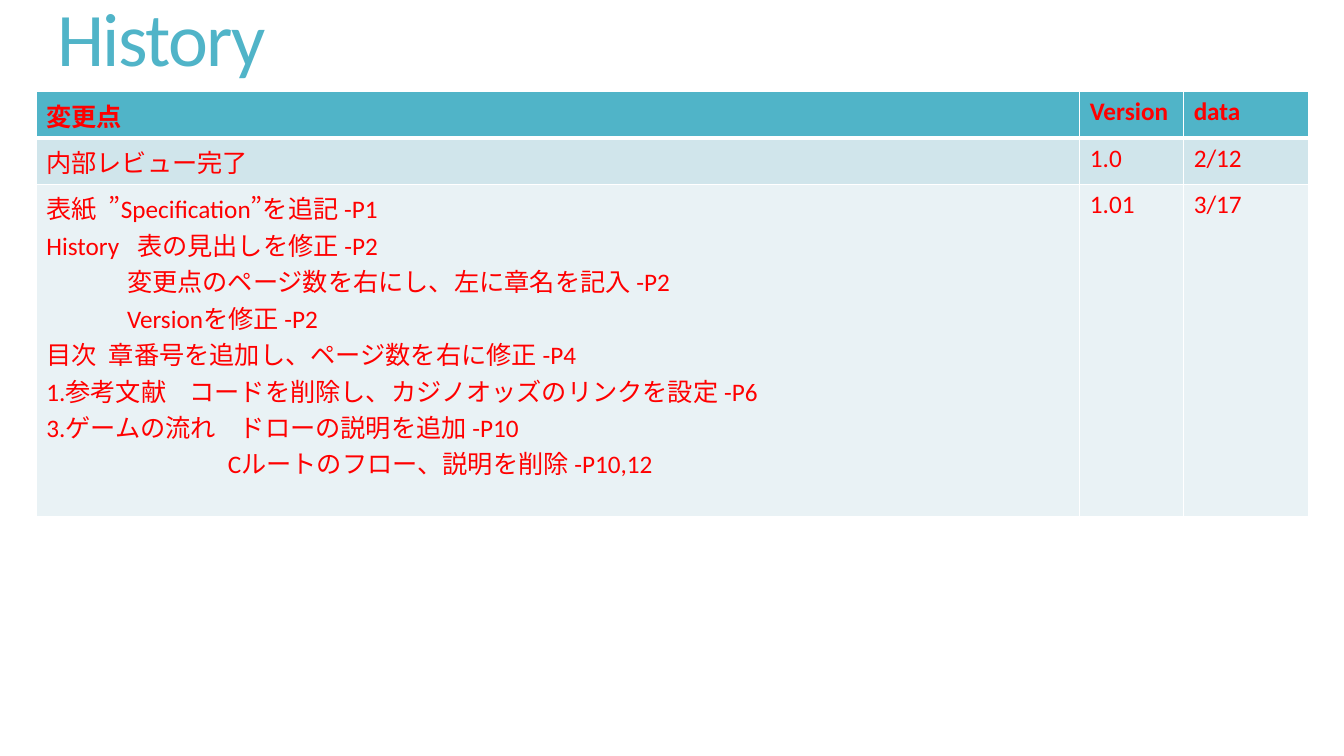
from dataclasses import dataclass

from lxml.etree import SubElement
from pptx import Presentation
from pptx.dml.color import RGBColor
from pptx.enum.lang import MSO_LANGUAGE_ID as Language
from pptx.oxml.ns import qn
from pptx.util import Inches, Pt


@dataclass(frozen=True)
class Theme:
    font: str = "Calibri"
    accent: str = "50B4C8"
    text: str = "FF0000"
    band_dark: str = "D0E5EB"
    band_light: str = "E9F2F5"
    border: str = "FFFFFF"
    title_size: int = 54
    table_size: int = 18


THEME = Theme()
COLUMN_WIDTHS = (10.35, 1.03, 1.24)
ROW_HEIGHTS = (0.46, 0.46, 3.3)

# Each change: section, where its description starts (inches), description
CHANGES = (
    ("表紙", 0.62, "”Specification”を追記 -P1"),
    ("History", 0.9, "表の見出しを修正 -P2"),
    ("", 0.8, "変更点のページ数を右にし、左に章名を記入 -P2"),
    ("", 0.8, "Versionを修正 -P2"),
    ("目次", 0.62, "章番号を追加し、ページ数を右に修正 -P4"),
    ("1.参考文献", 1.42, "コードを削除し、カジノオッズのリンクを設定 -P6"),
    ("3.ゲームの流れ", 1.92, "ドローの説明を追加 -P10"),
    ("", 1.8, "Cルートのフロー、説明を削除 -P10,12"),
)
ROWS = (
    ("変更点", "Version", "data"),
    ("内部レビュー完了", "1.0", "2/12"),
    (CHANGES, "1.01", "3/17"),
)


def write(paragraph, text, *, size=THEME.table_size, color=THEME.text,
          bold=False, spacing=None, language=Language.JAPANESE):
    run = paragraph.add_run()
    run.text = text
    font = run.font
    font.name, font.size, font.bold = THEME.font, Pt(size), bold
    font.color.rgb = RGBColor.from_string(color)
    font.language_id = language
    if spacing is not None:
        font._element.set("spc", str(round(spacing * 100)))


def set_start(paragraph, start, *, after_section):
    """Start the description at a tab stop, or indent the whole line."""
    properties = paragraph._p.get_or_add_pPr()
    if after_section:
        tabs = SubElement(properties, qn("a:tabLst"))
        SubElement(tabs, qn("a:tab"), pos=str(Inches(start)), algn="l")
    else:
        properties.set("marL", str(Inches(start)))


def write_changes(text_frame, changes):
    for index, (section, start, description) in enumerate(changes):
        paragraph = text_frame.add_paragraph() if index else text_frame.paragraphs[0]
        set_start(paragraph, start, after_section=bool(section))
        write(paragraph, f"{section}\t{description}" if section else description)


def style_cell(cell, fill, top, bottom):
    # Borders come before the fill in the cell properties
    properties = cell._tc.get_or_add_tcPr()
    for side, width in (("L", 1), ("R", 1), ("T", top), ("B", bottom)):
        line = SubElement(properties, qn(f"a:ln{side}"), w=str(Pt(width)))
        solid = SubElement(line, qn("a:solidFill"))
        SubElement(solid, qn("a:srgbClr"), val=THEME.border)
    cell.fill.solid()
    cell.fill.fore_color.rgb = RGBColor.from_string(fill)


def add_title(slide, left, top, width, height):
    text_frame = slide.shapes.add_textbox(
        *map(Inches, (left, top, width, height))).text_frame
    text_frame.word_wrap = True
    paragraph = text_frame.paragraphs[0]
    paragraph.line_spacing = 0.85
    write(paragraph, "History", size=THEME.title_size, color=THEME.accent,
          spacing=-1.2, language=Language.ENGLISH_US)


def add_history_table(slide, left, top):
    box = (left, top, sum(COLUMN_WIDTHS), sum(ROW_HEIGHTS))
    table = slide.shapes.add_table(
        len(ROWS), len(COLUMN_WIDTHS), *map(Inches, box)).table
    for column, width in zip(table.columns, COLUMN_WIDTHS):
        column.width = Inches(width)
    for row, height in zip(table.rows, ROW_HEIGHTS):
        row.height = Inches(height)

    fills = (THEME.accent, THEME.band_dark, THEME.band_light)
    for row_index, (values, fill) in enumerate(zip(ROWS, fills)):
        header = row_index == 0
        for column_index, value in enumerate(values):
            cell = table.cell(row_index, column_index)
            style_cell(cell, fill, top=3 if row_index == 1 else 1,
                       bottom=3 if header else 1)
            if value is CHANGES:
                write_changes(cell.text_frame, value)
            else:
                write(cell.text_frame.paragraphs[0], value, bold=header)


presentation = Presentation()
presentation.slide_width, presentation.slide_height = Inches(13.33), Inches(7.5)
slide = presentation.slides.add_slide(presentation.slide_layouts[6])
add_title(slide, 0.47, 0, 11.78, 1.81)
add_history_table(slide, 0.36, 0.91)
presentation.save("out.pptx")
